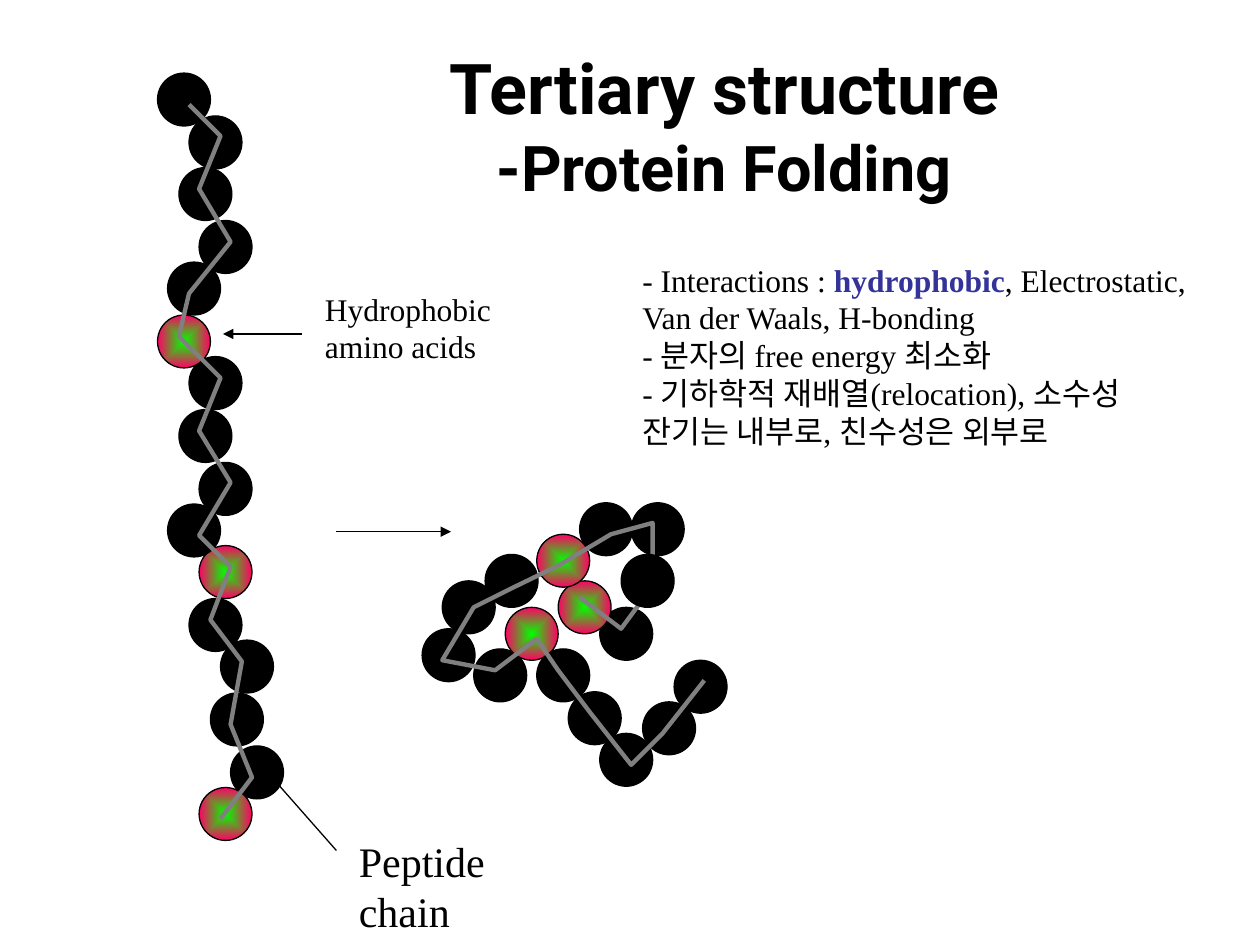
from lxml.etree import SubElement
from pptx import Presentation
from pptx.dml.color import RGBColor
from pptx.enum.shapes import MSO_CONNECTOR, MSO_SHAPE
from pptx.enum.text import MSO_ANCHOR, MSO_AUTO_SIZE, PP_ALIGN
from pptx.oxml.ns import qn
from pptx.util import Inches, Pt

BLACK = RGBColor(0x00, 0x00, 0x00)
GRAY = RGBColor(0x80, 0x80, 0x80)
BLUE = RGBColor(0x33, 0x33, 0x99)
GREEN = RGBColor(0x00, 0xFF, 0x00)
PINK = RGBColor(0xFF, 0x00, 0x66)

BEAD_SIZE = 0.42
POLAR, HYDROPHOBIC = False, True

# Beads are (left, top, kind), from back to front
UNFOLDED_BEADS = [
    (1.83, 5.92, POLAR), (1.67, 5.5, POLAR), (1.75, 5.08, POLAR),
    (1.5, 4.75, POLAR), (1.58, 6.25, HYDROPHOBIC), (1.58, 4.33, HYDROPHOBIC),
    (1.58, 3.67, POLAR), (1.42, 3.25, POLAR), (1.5, 2.83, POLAR),
    (1.25, 2.5, HYDROPHOBIC), (1.33, 4, POLAR), (1.58, 1.75, POLAR),
    (1.42, 1.33, POLAR), (1.5, 0.92, POLAR), (1.25, 0.58, POLAR),
    (1.33, 2.08, POLAR),
]
UNFOLDED_BACKBONE = [
    (1.75, 6.5), (2, 6.17), (1.83, 5.75), (1.92, 5.25), (1.67, 4.92),
    (1.83, 4.5), (1.58, 4.25), (1.83, 3.83), (1.58, 3.42), (1.75, 3),
    (1.42, 2.67), (1.5, 2.33), (1.83, 1.92), (1.58, 1.5), (1.75, 1.08),
    (1.5, 0.83),
]
FOLDED_BEADS = [
    (4.76, 4.82, POLAR), (5.01, 3.99, POLAR), (4.6, 3.99, POLAR),
    (4.43, 4.61, HYDROPHOBIC), (4.26, 4.24, HYDROPHOBIC), (3.51, 4.61, POLAR),
    (3.35, 4.99, POLAR), (3.76, 5.15, POLAR), (4.01, 4.82, HYDROPHOBIC),
    (3.85, 4.4, POLAR), (4.51, 5.49, POLAR), (4.76, 5.82, POLAR),
    (5.1, 5.57, POLAR), (5.35, 5.24, POLAR), (4.26, 5.15, POLAR),
]
FOLDED_BACKBONE = [
    (4.6, 4.74), (4.93, 4.99), (5.18, 4.65), (5.18, 4.15), (4.85, 4.24),
    (4.43, 4.49), (4.1, 4.65), (3.76, 4.82), (3.51, 5.24), (3.93, 5.32),
    (4.26, 5.07), (4.43, 5.32), (4.68, 5.65), (5.01, 6.07), (5.26, 5.82),
    (5.59, 5.4),
]
FRONT_BEAD = (4.93, 4.4, POLAR)

ARROWS = [
    ((2.67, 4.22), (3.58, 4.22)),
    ((2.4, 2.65), (1.77, 2.65)),
    ((2.67, 6.75), (2.08, 6.08)),
]

# A paragraph is a list of spans: (text, format overrides)
TITLE = [[("Tertiary structure", {})], [("-Protein Folding", {"size": 36})]]
BEAD_LABEL = [[("Hydrophobic", {})], [("amino acids", {})]]
CHAIN_LABEL = [[("Peptide chain", {})]]
NOTES = [
    [("- Interactions : ", {}),
     ("hydrophobic", {"color": BLUE, "bold": True}),
     (", Electrostatic, Van der Waals, H-bonding", {})],
    [("- 분자의 free energy 최소화", {})],
    [("- 기하학적 재배열(relocation), 소수성 잔기는 내부로, 친수성은 외부로", {})],
]


def fill_radiating(shape):
    """Blend from green at the centre to pink at the edge."""
    shape.fill.gradient()
    for stop, color, position in zip(shape.fill.gradient_stops, (GREEN, PINK), (0, 1)):
        stop.color.rgb = color
        stop.position = position
    gradient = shape._element.spPr.find(qn("a:gradFill"))
    gradient.remove(gradient.find(qn("a:lin")))
    blend = SubElement(gradient, qn("a:path"), path="rect")
    SubElement(blend, qn("a:fillToRect"), l="50000", t="50000", r="50000", b="50000")


def add_bead(shapes, left, top, hydrophobic):
    bead = shapes.add_shape(MSO_SHAPE.OVAL, Inches(left), Inches(top),
                            Inches(BEAD_SIZE), Inches(BEAD_SIZE))
    bead.shadow.inherit = False
    if hydrophobic:
        fill_radiating(bead)
    else:
        bead.fill.solid()
        bead.fill.fore_color.rgb = BLACK
    bead.line.color.rgb = BLACK
    bead.line.width = Pt(0.75)


def add_chain(shapes, beads, backbone):
    for bead in beads:
        add_bead(shapes, *bead)
    points = [(Inches(x), Inches(y)) for x, y in backbone]
    builder = shapes.build_freeform(*points[0])
    builder.add_line_segments(points[1:], close=False)
    chain = builder.convert_to_shape()
    chain.shadow.inherit = False
    chain.fill.background()
    chain.line.color.rgb = GRAY
    chain.line.width = Pt(2.5)


def add_arrow(shapes, start, end):
    arrow = shapes.add_connector(MSO_CONNECTOR.STRAIGHT,
                                 *(Inches(value) for value in start + end))
    arrow.line.color.rgb = BLACK
    arrow.line.width = Pt(0.75)
    properties = arrow._element.spPr
    SubElement(properties.find(qn("a:ln")), qn("a:tailEnd"), type="triangle")
    SubElement(properties, qn("a:effectLst"))


def add_text(shapes, paragraphs, area, size=18, font="Times New Roman", color=BLACK,
             bold=False, align=PP_ALIGN.LEFT, anchor=MSO_ANCHOR.TOP, wrap=True,
             autosize=MSO_AUTO_SIZE.SHAPE_TO_FIT_TEXT):
    box = shapes.add_textbox(*(Inches(value) for value in area))
    frame = box.text_frame
    frame.word_wrap = wrap
    frame.auto_size = autosize
    frame.vertical_anchor = anchor
    for index, spans in enumerate(paragraphs):
        para = frame.add_paragraph() if index else frame.paragraphs[0]
        para.alignment = align
        for text, changes in spans:
            span = para.add_run()
            span.text = text
            span.font.name = font
            span.font.size = Pt(changes.get("size", size))
            span.font.bold = changes.get("bold", bold)
            span.font.color.rgb = changes.get("color", color)


def main():
    deck = Presentation()
    deck.slide_width, deck.slide_height = Inches(10), Inches(7.5)
    page = deck.slides.add_slide(deck.slide_layouts[6])
    shapes = page.shapes

    add_chain(shapes, UNFOLDED_BEADS, UNFOLDED_BACKBONE)
    for start, end in ARROWS:
        add_arrow(shapes, start, end)
    add_text(shapes, BEAD_LABEL, (2.48, 2.25, 2.25, 0.7))
    add_text(shapes, CHAIN_LABEL, (2.75, 6.58, 2, 0.5), size=24, wrap=False)
    add_text(shapes, TITLE, (1.5, 0.36, 8.5, 1.25), size=40, font="Roboto", bold=True,
             align=PP_ALIGN.CENTER, anchor=MSO_ANCHOR.MIDDLE, autosize=MSO_AUTO_SIZE.NONE)

    folded = shapes.add_group_shape().shapes
    add_chain(folded, FOLDED_BEADS, FOLDED_BACKBONE)
    add_bead(folded, *FRONT_BEAD)
    add_text(shapes, NOTES, (5, 2.02, 4.73, 1.6))

    deck.save("out.pptx")


if __name__ == "__main__":
    main()
